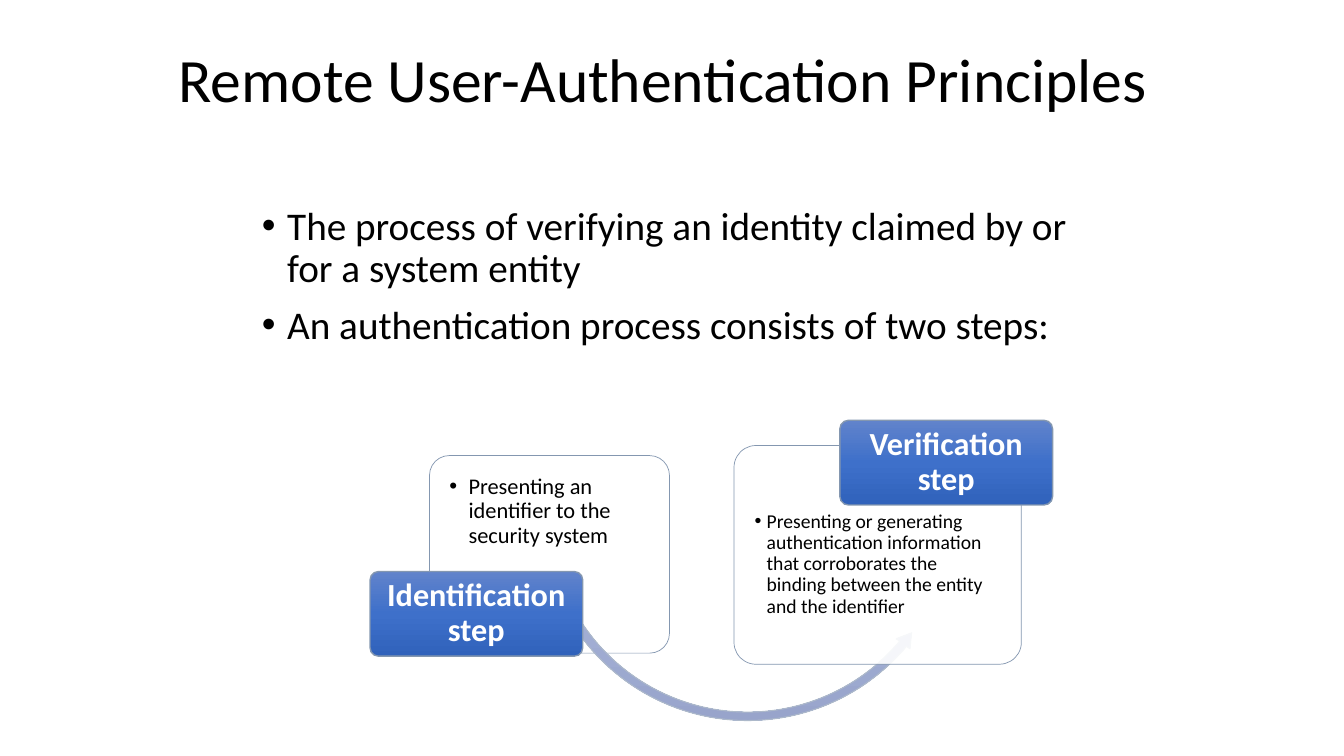
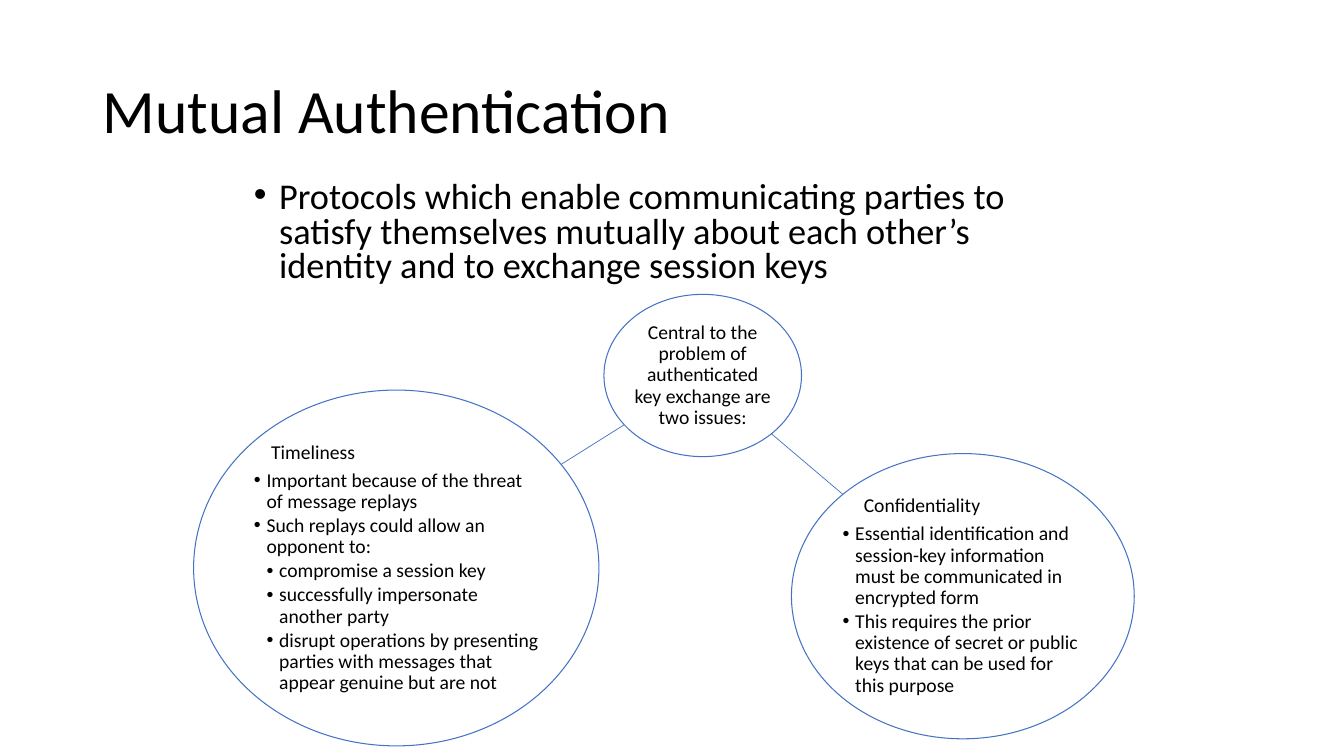
"""Build two slides on remote user authentication and mutual authentication."""
from dataclasses import dataclass
from math import hypot

from lxml.etree import SubElement
from pptx import Presentation
from pptx.dml.color import RGBColor
from pptx.enum.shapes import MSO_CONNECTOR as Connector
from pptx.enum.shapes import MSO_SHAPE as Shape
from pptx.enum.text import MSO_ANCHOR as Anchor
from pptx.enum.text import MSO_AUTO_SIZE as AutoSize
from pptx.enum.text import PP_ALIGN as Align
from pptx.oxml.ns import qn
from pptx.util import Inches, Pt


@dataclass(frozen=True)
class Theme:
    font: str = "Calibri"
    ink: str = "000000"
    paper: str = "FFFFFF"
    accent: str = "4472C4"
    edge: str = "8497B0"
    arrow_edge: str = "ADB9CA"
    label_fill: tuple = ("6183CB", "3E70CA", "3062BB")
    arrow_fill: tuple = ("BBC5E3", "AEBBE0", "98A4CB")
    title: float = 44
    body: float = 28
    body_tight: float = 25.9
    label: float = 23
    card: float = 16
    small: float = 14


THEME = Theme()

PRINCIPLES = {
    "title": "Remote User-Authentication Principles",
    "title_at": (1.67, 0.04, 10, 1.55),
    "body": ["The process of verifying an identity claimed by or for a system entity",
             "An authentication process consists of two steps:"],
    "body_at": (2.5, 2, 8.28, 1.92),
    "arrow_at": (5.32, 3, 4.19, 4.19),
    "arrow_shape": (0.02, 2.32, 23.96, 94.13, 0.02),
}
STEPS = [
    {"label": "Identification step", "label_at": (3.67, 5.67, 2.11, 0.84),
     "card": "Presenting an identifier to the security system",
     "card_at": (4.26, 4.52, 2.38, 1.96), "size": THEME.card, "hang": 0.19, "top": 0.14},
    {"label": "Verification step", "label_at": (8.33, 4.17, 2.11, 0.84),
     "card": "Presenting or generating authentication information that corroborates "
             "the binding between the entity and the identifier",
     "card_at": (7.28, 4.42, 2.85, 2.17), "size": THEME.small, "hang": 0.12, "top": 0.59},
]

MUTUAL = {
    "title": "Mutual Authentication",
    "title_at": (0.92, 0.4, 11.5, 1.45),
    "body": ["Protocols which enable communicating parties to satisfy themselves mutually "
             "about each other’s identity and to exchange session keys"],
    "body_at": (2.42, 1.75, 8.5, 1.17),
    "hub": "Central to the problem of authenticated key exchange are two issues:",
    "hub_at": (5.99, 2.92, 1.96, 1.61),
}
ISSUES = [
    {"name": "Confidentiality", "name_indent": 0.21, "at": (7.85, 4.5, 3.4, 2.83),
     "points": [
         (1, "Essential identification and session-key information must be "
             "communicated in encrypted form"),
         (1, "This requires the prior existence of secret or public keys that can be "
             "used for this purpose")]},
    {"name": "Timeliness", "name_indent": 0.17, "at": (1.92, 3.87, 4.02, 3.53),
     "points": [
         (1, "Important because of the threat of message replays"),
         (1, "Such replays could allow an opponent to:"),
         (2, "compromise a session key"),
         (2, "successfully impersonate another party"),
         (2, "disrupt operations by presenting parties with messages that appear "
             "genuine but are not")]},
]


def color(value):
    """Turn a hex string into a colour."""
    return RGBColor.from_string(value)


def write(frame, text, *, size, ink=THEME.ink, bold=False, align=Align.LEFT,
          spacing=0.9, before=0, after=0, margin=0, hang=0):
    """Add one formatted paragraph to a text frame."""
    first = not frame.paragraphs[0].runs
    para = frame.paragraphs[0] if first else frame.add_paragraph()
    para.alignment = align
    para.line_spacing = spacing
    para.space_before = Pt(0 if first else before)
    para.space_after = Pt(after)
    props = para._p.get_or_add_pPr()
    props.set("marL", str(Inches(margin)))
    props.set("indent", str(Inches(-hang)))
    if hang:
        SubElement(props, qn("a:buFont")).set("typeface", "Arial")
        SubElement(props, qn("a:buChar")).set("char", "•")
    span = para.add_run()
    span.text = text
    span.font.name = THEME.font
    span.font.size = Pt(size)
    span.font.bold = bold
    span.font.color.rgb = color(ink)


def set_frame(frame, anchor, left, top, right, bottom):
    """Set the wrapping, anchor and insets of a text frame."""
    frame.word_wrap = True
    frame.auto_size = AutoSize.NONE
    frame.vertical_anchor = anchor
    frame.margin_left, frame.margin_top = Inches(left), Inches(top)
    frame.margin_right, frame.margin_bottom = Inches(right), Inches(bottom)


def add_page(deck, content, size, spacing):
    """Add a slide with its title and bulleted introduction."""
    page = deck.slides.add_slide(deck.slide_layouts[5])
    title = page.shapes.title
    title.left, title.top, title.width, title.height = map(Inches, content["title_at"])
    set_frame(title.text_frame, Anchor.MIDDLE, 0.1, 0.05, 0.1, 0.05)
    write(title.text_frame, content["title"], size=THEME.title)
    box = page.shapes.add_textbox(*map(Inches, content["body_at"]))
    set_frame(box.text_frame, Anchor.TOP, 0.1, 0.05, 0.1, 0.05)
    for text in content["body"]:
        write(box.text_frame, text, size=size, spacing=spacing, before=10,
              margin=0.25, hang=0.25)
    return page


def add_figure(page, kind, at, line, width, fill=THEME.paper, adjust=()):
    """Add a preset shape with a plain fill or a top-down gradient."""
    figure = page.shapes.add_shape(kind, *map(Inches, at))
    figure.shadow.inherit = False
    for index, value in enumerate(adjust):
        figure.adjustments[index] = value
    figure.line.color.rgb = color(line)
    figure.line.width = Pt(width)
    if isinstance(fill, str):
        figure.fill.solid()
        figure.fill.fore_color.rgb = color(fill)
        return figure
    figure.fill.gradient()
    figure.fill.gradient_angle = 270
    stops = figure._element.spPr.find(".//" + qn("a:gsLst"))
    stops.clear()
    for index, value in enumerate(fill):
        stop = SubElement(stops, qn("a:gs"), pos=str(index * 100000 // (len(fill) - 1)))
        SubElement(stop, qn("a:srgbClr"), val=value)
    return figure


def add_card(page, step):
    """Add the translucent card that explains a step."""
    card = add_figure(page, Shape.ROUNDED_RECTANGLE, step["card_at"], THEME.edge, 0.5,
                      adjust=(0.1,))
    paint = card._element.spPr.find(qn("a:solidFill"))[0]
    SubElement(paint, qn("a:alpha"), val="90000")
    set_frame(card.text_frame, Anchor.TOP, 0.14, step["top"], 0.14, 0.14)
    write(card.text_frame, step["card"], size=step["size"],
          margin=step["hang"], hang=step["hang"])


def add_label(page, step):
    """Add the label that names a step."""
    label = add_figure(page, Shape.ROUNDED_RECTANGLE, step["label_at"], THEME.edge, 1,
                       THEME.label_fill, (0.1,))
    set_frame(label.text_frame, Anchor.MIDDLE, 0.05, 0.03, 0.05, 0.03)
    write(label.text_frame, step["label"], size=THEME.label, ink=THEME.paper,
          bold=True, align=Align.CENTER)


def add_bubble(page, at):
    """Add an outlined ellipse ready for text."""
    bubble = add_figure(page, Shape.OVAL, at, THEME.accent, 0.75)
    set_frame(bubble.text_frame, Anchor.MIDDLE, 0.01, 0.01, 0.01, 0.01)
    return bubble.text_frame


def rim_point(at, toward):
    """Find where the line to another ellipse's centre leaves this ellipse."""
    (x, y), (far_x, far_y) = [(left + width / 2, top + height / 2)
                              for left, top, width, height in (at, toward)]
    run, rise = far_x - x, far_y - y
    reach = hypot(run / (at[2] / 2), rise / (at[3] / 2))
    return Inches(x + run / reach), Inches(y + rise / reach)


def add_link(page, start, end):
    """Join two ellipses along the line between their centres."""
    link = page.shapes.add_connector(Connector.STRAIGHT, *rim_point(start, end),
                                     *rim_point(end, start))
    link.line.color.rgb = color(THEME.accent)
    link.line.width = Pt(0.5)
    SubElement(link._element.spPr, qn("a:effectLst"))


def add_principles(deck):
    """Build the slide on the two authentication steps."""
    page = add_page(deck, PRINCIPLES, THEME.body, 0.9)
    identification, verification = STEPS
    add_card(page, identification)
    add_figure(page, Shape.LEFT_CIRCULAR_ARROW, PRINCIPLES["arrow_at"], THEME.arrow_edge,
               0.75, THEME.arrow_fill, PRINCIPLES["arrow_shape"])
    add_label(page, identification)
    add_card(page, verification)
    add_label(page, verification)


def add_mutual(deck):
    """Build the slide on the two issues of key exchange."""
    page = add_page(deck, MUTUAL, THEME.body_tight, 0.8)
    hub = add_bubble(page, MUTUAL["hub_at"])
    write(hub, MUTUAL["hub"], size=THEME.small, align=Align.CENTER)
    for issue in ISSUES:
        add_link(page, MUTUAL["hub_at"], issue["at"])
        frame = add_bubble(page, issue["at"])
        write(frame, issue["name"], size=THEME.small, after=4.9,
              margin=issue["name_indent"])
        for level, text in issue["points"]:
            write(frame, text, size=THEME.small, after=2.1,
                  margin=level * 0.125, hang=0.125)


def main():
    """Build and save the deck."""
    deck = Presentation()
    deck.slide_width, deck.slide_height = Inches(13.33), Inches(7.5)
    add_principles(deck)
    add_mutual(deck)
    deck.save("out.pptx")


if __name__ == "__main__":
    main()
